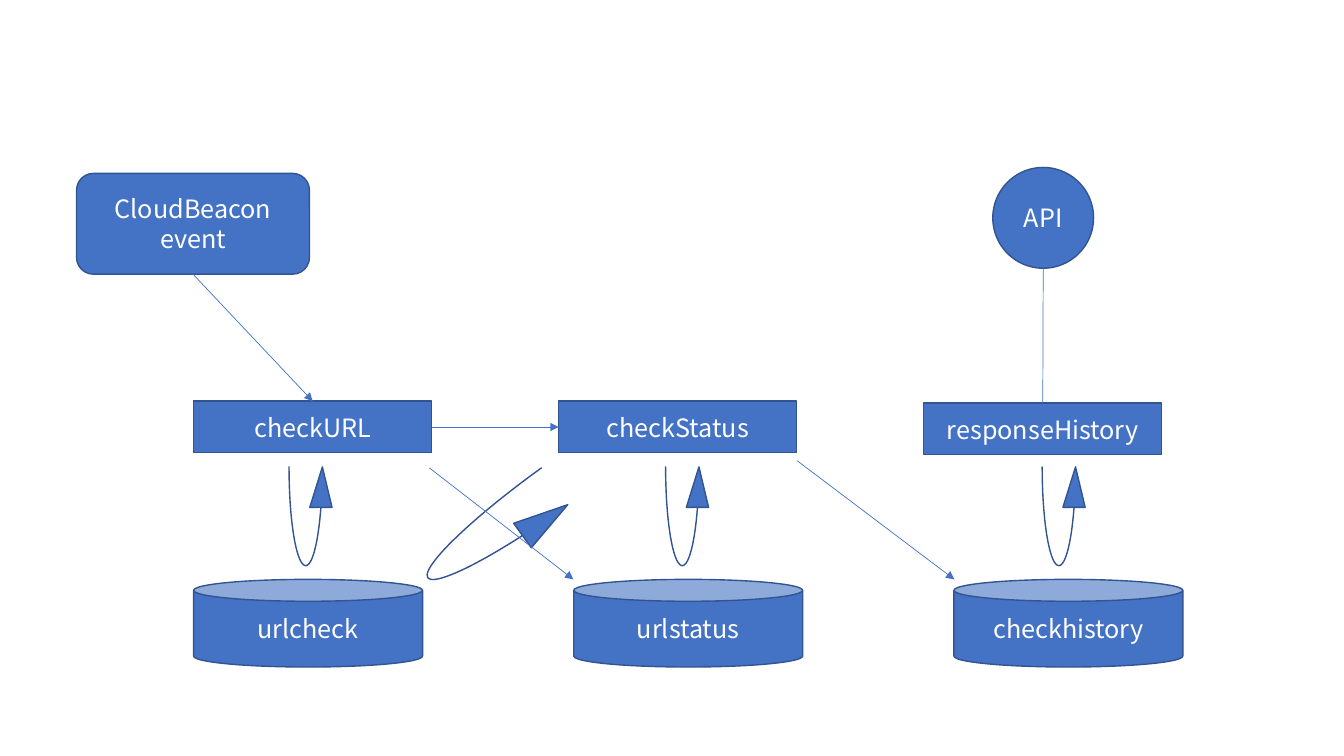
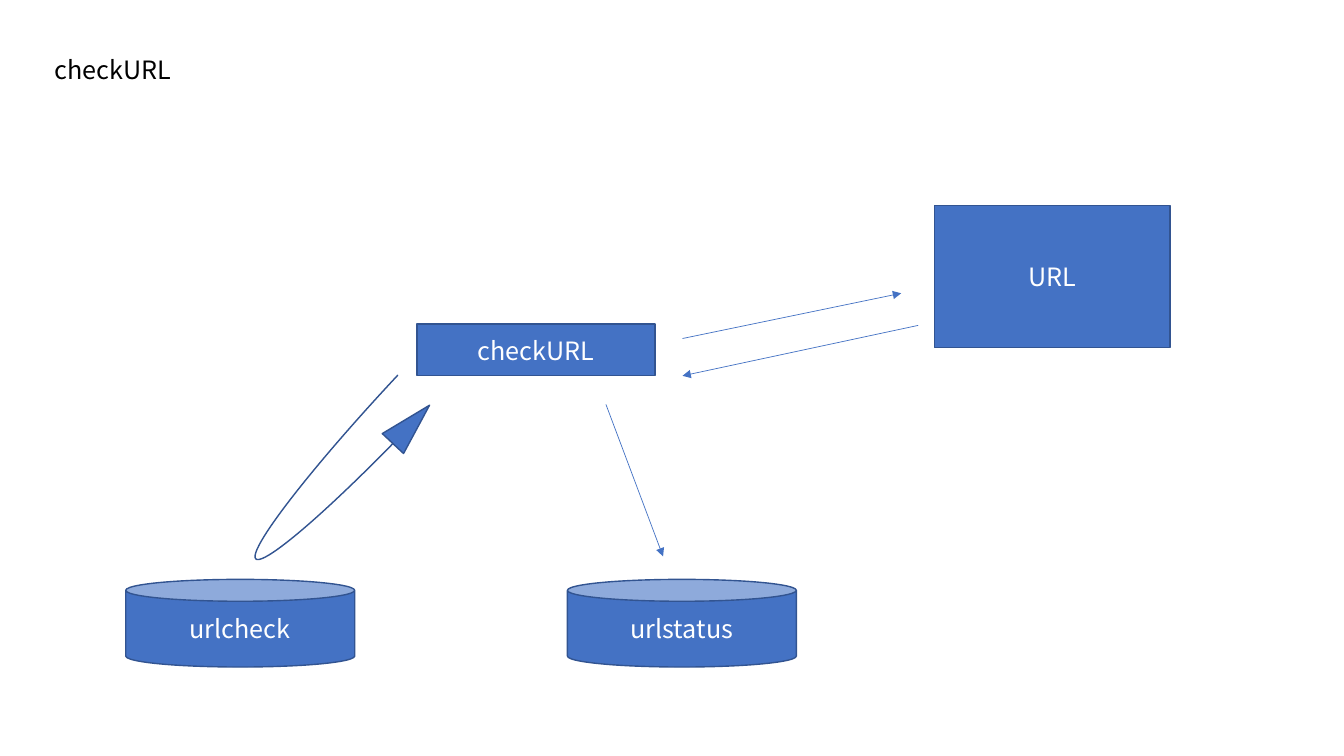
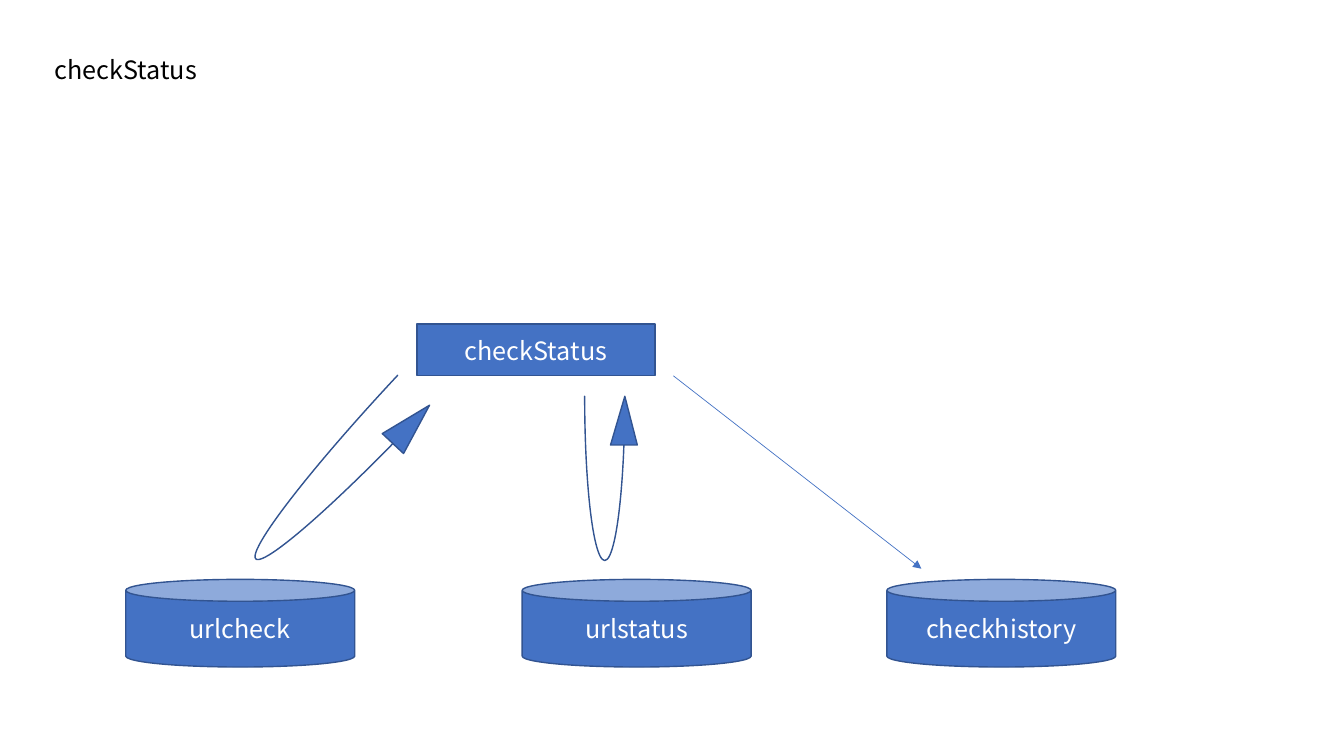
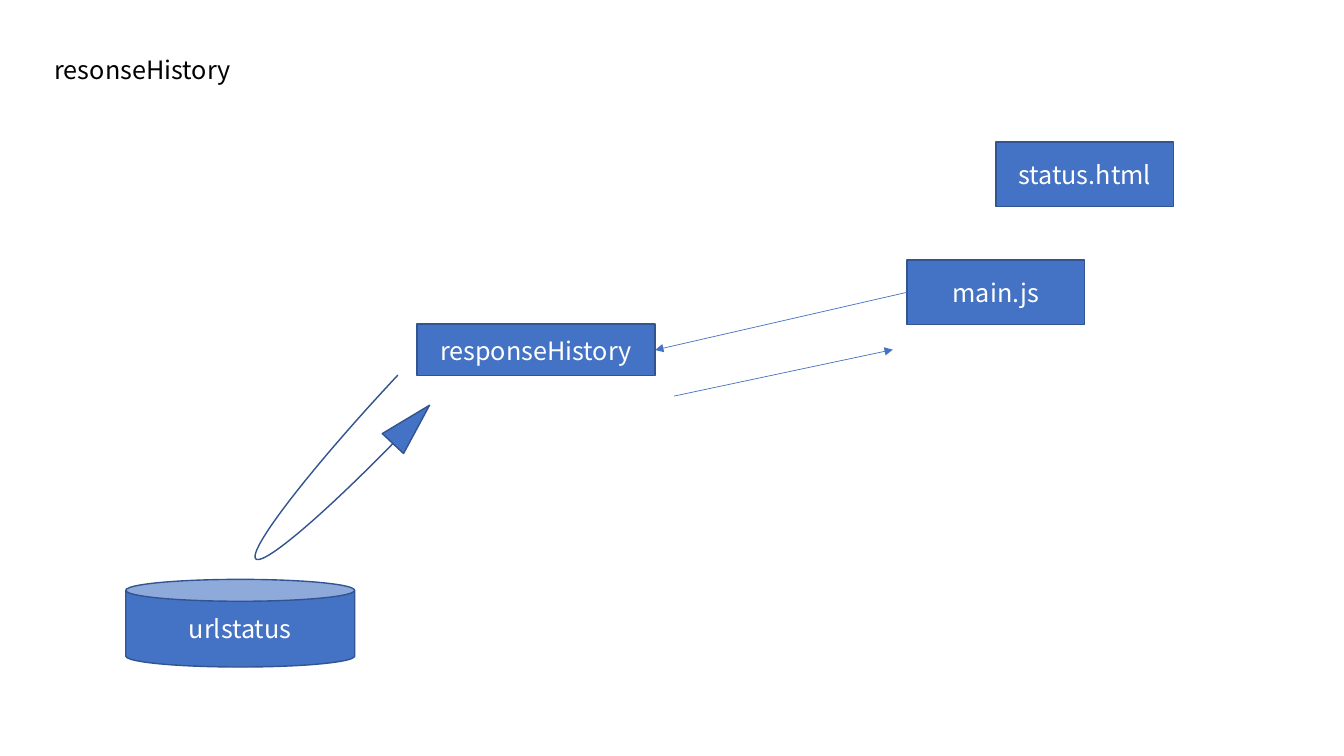
from lxml import etree
from pptx import Presentation
from pptx.dml.color import RGBColor
from pptx.enum.shapes import MSO_CONNECTOR, MSO_SHAPE
from pptx.enum.text import MSO_ANCHOR, MSO_AUTO_SIZE, PP_ALIGN
from pptx.oxml.ns import qn
from pptx.util import Cm, Pt

FONT = "Noto Sans CJK JP"
BLUE, NAVY, WHITE, BLACK = "4472C4", "325491", "FFFFFF", "000000"
TITLE_BOX = (1.12, 1.24, 4.95, 1.02)
FUNCTION_SIZE = (6, 1.3)
TABLE_SIZE = (5.77, 2.21)
FILE_SIZE = (4.47, 1.63)
TABLE_TOP = 14.6
TOP, LEFT, BOTTOM, RIGHT = range(4)
BOX, CAN = MSO_SHAPE.RECTANGLE, MSO_SHAPE.CAN


def function(name, left=10.51, top=8.17):
    return name, BOX, (left, top, *FUNCTION_SIZE)


def table(name, left=3.17):
    return name, CAN, (left, TABLE_TOP, *TABLE_SIZE)


def file(name, left, top):
    return name, BOX, (left, top, *FILE_SIZE)


READ_LOOP = ((5.66, 11.35, 5.82, 1.47), 313.1)

OVERVIEW_FUNCTIONS = [("checkURL", 10.11), ("checkStatus", 10.11), ("responseHistory", 10.16)]
OVERVIEW_TABLES = ["urlcheck", "urlstatus", "checkhistory"]

SLIDES = [
    {
        "title": None,
        "nodes": [function(name, 4.88 + 9.2 * i, top)
                  for i, (name, top) in enumerate(OVERVIEW_FUNCTIONS)]
        + [table(name, 4.88 + 9.58 * i) for i, name in enumerate(OVERVIEW_TABLES)]
        + [
            ("API", MSO_SHAPE.OVAL, (25.02, 4.22, 2.54, 2.54)),
            ("CloudBeacon event", MSO_SHAPE.ROUNDED_RECTANGLE, (1.93, 4.37, 5.87, 2.54)),
        ],
        "loops": [((6.6 + 9.49 * i, 12.45, 2.49, 1.12), 270) for i in range(3)]
        + [((10.52, 12.8, 3.94, 1.52), 324.2)],
        "arrows": [
            (("checkURL", RIGHT), ("checkStatus", LEFT)),
            (("CloudBeacon event", BOTTOM), ("checkURL", TOP)),
            ((20.09, 11.61), (24.05, 14.6)),
            ((10.82, 11.79), (14.45, 14.6)),
        ],
        "lines": [(("API", BOTTOM), ("responseHistory", TOP))],
    },
    {
        "title": "checkURL",
        "nodes": [
            function("checkURL"),
            table("urlcheck"),
            table("urlstatus", 14.3),
            ("URL", BOX, (23.55, 5.18, 5.94, 3.58)),
        ],
        "loops": [READ_LOOP],
        "arrows": [
            ((17.2, 8.53), (22.71, 7.39)),
            ((23.14, 8.2), (17.2, 9.47)),
            ((15.27, 10.19), (16.71, 14.02)),
        ],
        "lines": [],
    },
    {
        "title": "checkStatus",
        "nodes": [
            function("checkStatus"),
            table("urlcheck"),
            table("urlstatus", 13.16),
            table("checkhistory", 22.35),
        ],
        "loops": [READ_LOOP, ((13.34, 11.38, 4.14, 1.35), 270)],
        "arrows": [((16.97, 9.47), (23.22, 14.33))],
        "lines": [],
    },
    {
        "title": "resonseHistory",
        "nodes": [
            function("responseHistory"),
            table("urlstatus"),
            file("status.html", 25.1, 3.58),
            file("main.js", 22.86, 6.55),
        ],
        "loops": [READ_LOOP],
        "arrows": [
            (("main.js", LEFT), ("responseHistory", RIGHT)),
            ((16.99, 9.98), (22.5, 8.81)),
        ],
        "lines": [],
    },
]


def color(value):
    return RGBColor.from_string(value)


def lengths(values):
    return [Cm(value) for value in values]


def write(shape, text, text_color, align, anchor):
    frame = shape.text_frame
    frame.auto_size = MSO_AUTO_SIZE.NONE
    frame.vertical_anchor = anchor
    paragraph = frame.paragraphs[0]
    paragraph.alignment = align
    run = paragraph.add_run()
    run.text = text
    run.font.name = FONT
    run.font.size = Pt(18)
    run.font.color.rgb = color(text_color)


def add_title(slide, text):
    title = slide.shapes.title
    title.left, title.top, title.width, title.height = lengths(TITLE_BOX)
    write(title, text, BLACK, PP_ALIGN.LEFT, MSO_ANCHOR.TOP)
    title.text_frame.word_wrap = False


def add_outlined(slide, preset, box):
    shape = slide.shapes.add_shape(preset, *lengths(box))
    shape.shadow.inherit = False
    shape.fill.solid()
    shape.fill.fore_color.rgb = color(BLUE)
    shape.line.color.rgb = color(NAVY)
    shape.line.width = Pt(1)
    return shape


def add_node(slide, name, preset, box):
    node = add_outlined(slide, preset, box)
    write(node, name, WHITE, PP_ALIGN.CENTER, MSO_ANCHOR.MIDDLE)
    return node


def add_loop(slide, box, rotation):
    loop = add_outlined(slide, MSO_SHAPE.CURVED_RIGHT_ARROW, box)
    loop.rotation = rotation
    for i, value in enumerate((0, 0.5, 0.909)):
        loop.adjustments[i] = value


def locate(nodes, end):
    if end[0] not in nodes:
        return lengths(end)
    name, side = end
    node = nodes[name]
    x = {LEFT: 0, RIGHT: node.width}.get(side, node.width // 2)
    y = {TOP: 0, BOTTOM: node.height}.get(side, node.height // 2)
    return node.left + x, node.top + y


def add_link(slide, nodes, start, end, arrow):
    link = slide.shapes.add_connector(
        MSO_CONNECTOR.STRAIGHT, *locate(nodes, start), *locate(nodes, end))
    link.line.color.rgb = color(BLUE)
    link.line.width = Pt(0.5)
    properties = link._element.spPr
    if arrow:
        etree.SubElement(properties.find(qn("a:ln")), qn("a:tailEnd"), type="triangle")
    etree.SubElement(properties, qn("a:effectLst"))


prs = Presentation()
prs.slide_width, prs.slide_height = Cm(33.87), Cm(19.05)
TITLE_ONLY, BLANK = prs.slide_layouts[5], prs.slide_layouts[6]

for content in SLIDES:
    slide = prs.slides.add_slide(TITLE_ONLY if content["title"] else BLANK)
    if content["title"]:
        add_title(slide, content["title"])
    nodes = {node[0]: add_node(slide, *node) for node in content["nodes"]}
    for loop in content["loops"]:
        add_loop(slide, *loop)
    for kind in ("arrows", "lines"):
        for start, end in content[kind]:
            add_link(slide, nodes, start, end, kind == "arrows")

prs.save("out.pptx")
